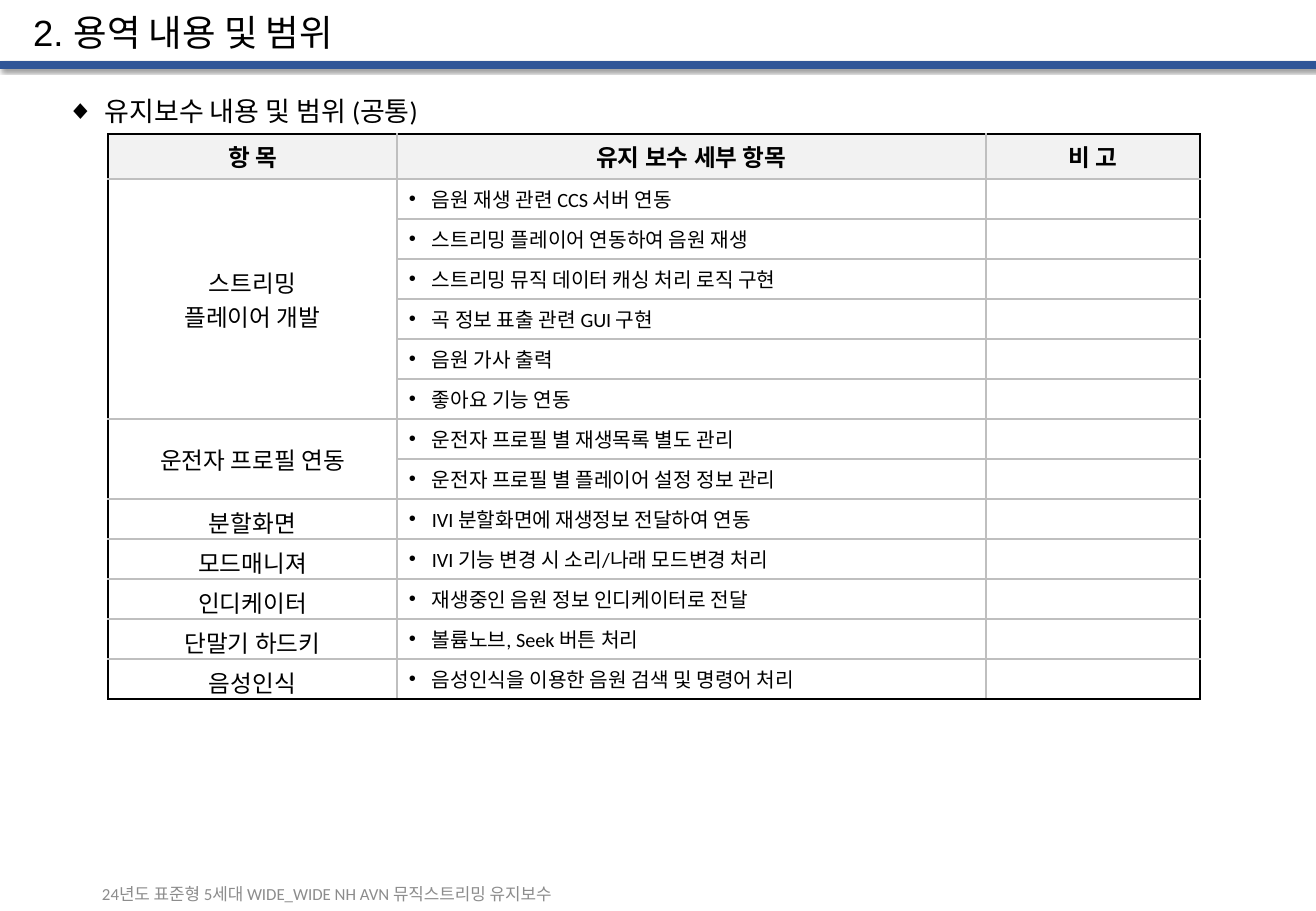
from lxml.etree import SubElement
from pptx import Presentation
from pptx.dml.color import RGBColor
from pptx.enum.shapes import MSO_SHAPE
from pptx.enum.text import MSO_ANCHOR, MSO_AUTO_SIZE, PP_ALIGN
from pptx.oxml import parse_xml
from pptx.oxml.ns import nsdecls, qn
from pptx.util import Pt

PX = 7526
BLACK, GRID, WHITE = "000000", "BFBFBF", "FFFFFF"


def color(value):
    return RGBColor.from_string(value)


def write(paragraph, text, size, tone=BLACK, font="Calibri", bold=False, bullet=None, indent=0):
    if bullet:
        properties = paragraph._p.get_or_add_pPr()
        properties.set("marL", str(indent * PX))
        properties.set("indent", str(-indent * PX))
        SubElement(properties, qn("a:buFont"), typeface="Arial")
        SubElement(properties, qn("a:buChar"), char=bullet)
    paragraph.text = text
    for run in paragraph.runs:
        run.font.size = Pt(size)
        run.font.name = font
        run.font.bold = bold
        run.font.color.rgb = color(tone)


deck = Presentation()
deck.slide_width, deck.slide_height = 1316 * PX, 911 * PX
slide = deck.slides.add_slide(deck.slide_layouts[5])

header_rule = slide.shapes.add_shape(MSO_SHAPE.RECTANGLE, 0, 62 * PX, 1316 * PX, 6 * PX)
header_rule.fill.solid()
header_rule.fill.fore_color.rgb = color("2F5597")
header_rule.line.color.rgb = color("2F5597")
header_rule.line.width = Pt(1)
header_rule._element.spPr.append(parse_xml(
    f'<a:effectLst {nsdecls("a")}><a:outerShdw blurRad="25400" dist="25400" dir="2700000" '
    'algn="tl" rotWithShape="0"><a:srgbClr val="000000"><a:alpha val="40000"/></a:srgbClr>'
    '</a:outerShdw></a:effectLst>'))

title = slide.shapes.title
title.left, title.top, title.width, title.height = 21 * PX, 7 * PX, 1135 * PX, 55 * PX
title.text_frame.auto_size = MSO_AUTO_SIZE.NONE
title.text_frame.vertical_anchor = MSO_ANCHOR.MIDDLE
heading = title.text_frame.paragraphs[0]
write(heading, "2. 용역 내용 및 범위", 21.6, font="Arial")
heading.alignment = PP_ALIGN.LEFT
heading.line_spacing = 0.9

project = slide.shapes.add_textbox(90 * PX, 878 * PX, 542 * PX, 32 * PX).text_frame
project.word_wrap = True
project.vertical_anchor = MSO_ANCHOR.MIDDLE
write(project.paragraphs[0], "24년도 표준형 5세대 WIDE_WIDE NH AVN 뮤직스트리밍 유지보수", 10, "8C8C8C")

scope = slide.shapes.add_textbox(55 * PX, 89 * PX, 521 * PX, 45 * PX).text_frame
scope.word_wrap = True
write(scope.paragraphs[0], "유지보수 내용 및 범위 (공통)", 16, bullet="◆", indent=38)

headers = ["항 목", "유지 보수 세부 항목", "비 고"]
items = [
    ("스트리밍\n플레이어 개발", [
        "음원 재생 관련 CCS 서버 연동",
        "스트리밍 플레이어 연동하여 음원 재생",
        "스트리밍 뮤직 데이터 캐싱 처리 로직 구현",
        "곡 정보 표출 관련 GUI 구현",
        "음원 가사 출력",
        "좋아요 기능 연동",
    ]),
    ("운전자 프로필 연동", [
        "운전자 프로필 별 재생목록 별도 관리",
        "운전자 프로필 별 플레이어 설정 정보 관리",
    ]),
    ("분할화면", ["IVI 분할화면에 재생정보 전달하여 연동"]),
    ("모드매니져", ["IVI 기능 변경 시 소리/나래 모드변경 처리"]),
    ("인디케이터", ["재생중인 음원 정보 인디케이터로 전달"]),
    ("단말기 하드키", ["볼륨노브, Seek 버튼 처리"]),
    ("음성인식", ["음성인식을 이용한 음원 검색 및 명령어 처리"]),
]
column_widths = [289, 589, 214]
row_heights = [45] + [40] * sum(len(details) for _, details in items)
last_row, last_column = len(row_heights) - 1, len(column_widths) - 1

table = slide.shapes.add_table(
    len(row_heights), len(column_widths), 108 * PX, 134 * PX,
    sum(column_widths) * PX, sum(row_heights) * PX).table
table.horz_banding = False
for column, width in zip(table.columns, column_widths):
    column.width = width * PX
for row, height in zip(table.rows, row_heights):
    row.height = height * PX

for r in range(last_row + 1):
    for c in range(last_column + 1):
        cell = table.cell(r, c)
        cell.vertical_anchor = MSO_ANCHOR.MIDDLE
        cell.margin_left = cell.margin_right = 12 * PX
        cell.margin_top = cell.margin_bottom = 3 * PX
        edges = {"L": c == 0, "R": c == last_column, "T": r == 0, "B": r == last_row}
        for side, outer in edges.items():
            border = SubElement(cell._tc.get_or_add_tcPr(), qn(f"a:ln{side}"), w="12700")
            fill = SubElement(border, qn("a:solidFill"))
            SubElement(fill, qn("a:srgbClr"), val=BLACK if outer else GRID)
        cell.fill.solid()
        cell.fill.fore_color.rgb = color("F2F2F2" if r == 0 else WHITE)

for c, header in enumerate(headers):
    paragraph = table.cell(0, c).text_frame.paragraphs[0]
    write(paragraph, header, 14, bold=True)
    paragraph.alignment = PP_ALIGN.CENTER

first = 1
for item, details in items:
    label = table.cell(first, 0)
    if len(details) > 1:
        label.merge(table.cell(first + len(details) - 1, 0))
    else:
        label.margin_top, label.margin_bottom = 6 * PX, 0
    label.text_frame.text = item
    for paragraph in label.text_frame.paragraphs:
        write(paragraph, paragraph.text, 14)
        paragraph.alignment = PP_ALIGN.CENTER
    for r, detail in enumerate(details, first):
        write(table.cell(r, 1).text_frame.paragraphs[0], detail, 12, bullet="•", indent=23)
    first += len(details)

for cell in table.iter_cells():
    if not cell.text:
        SubElement(cell.text_frame.paragraphs[0]._p, qn("a:endParaRPr"), sz="1200")

deck.save("out.pptx")
